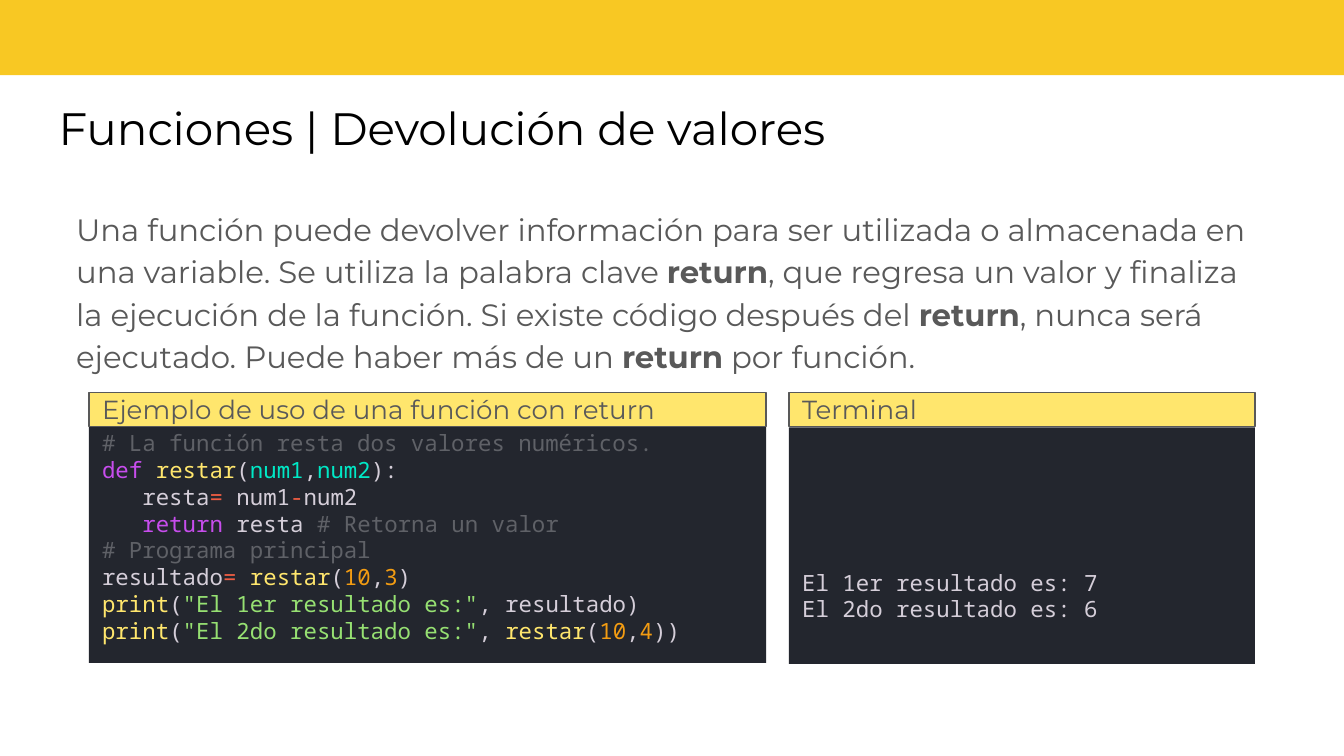
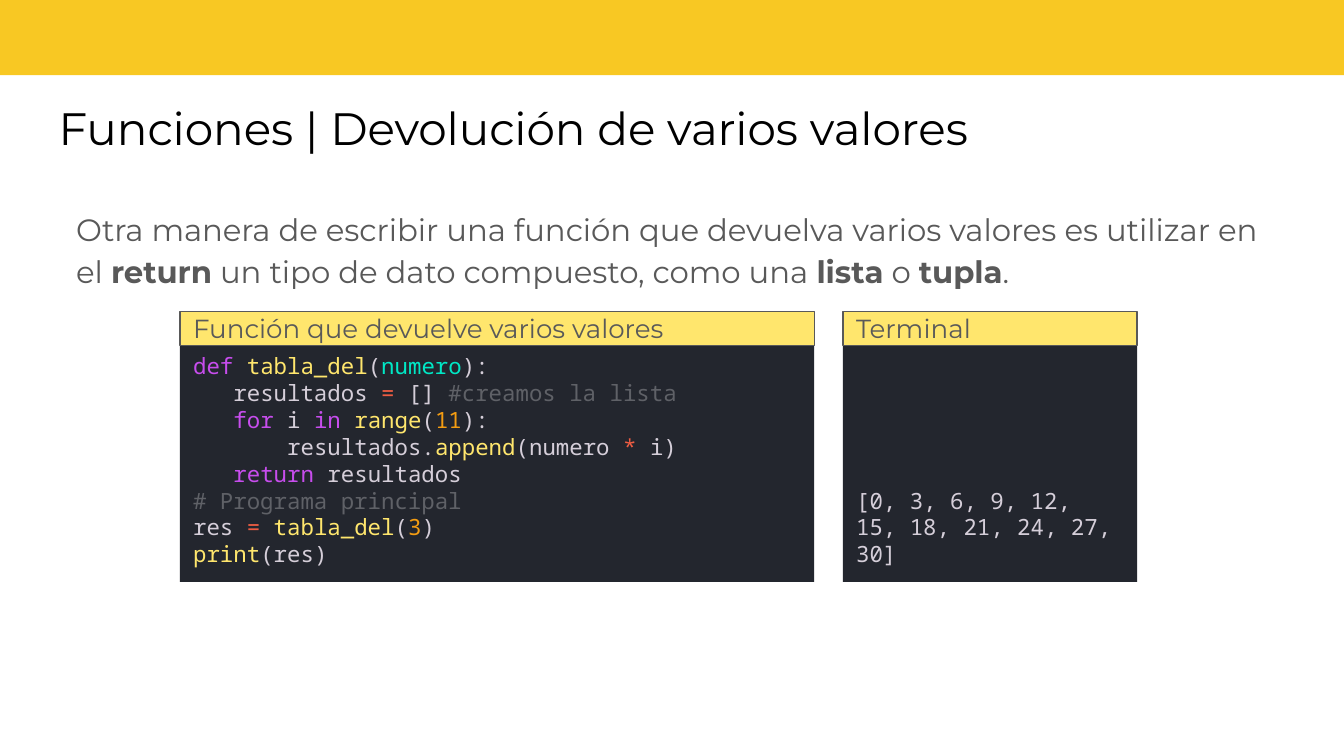
from pptx import Presentation
from pptx.dml.color import RGBColor
from pptx.enum.shapes import MSO_SHAPE
from pptx.enum.text import MSO_ANCHOR, MSO_AUTO_SIZE, PP_ALIGN
from pptx.oxml.ns import qn
from pptx.util import Cm, Pt
from lxml.etree import SubElement

THEME = {
    "colours": {
        "band": "F8C823", "header": "FFE66D", "panel": "23262E",
        "title": "000000", "body": "595959", "bold": "595959",
        "plain": "D5CED9", "comment": "5F6167", "keyword": "C74DED",
        "name": "FFE66D", "argument": "00E8C6", "operator": "EE5D43",
        "number": "F39C12", "string": "96E072",
    },
    "title": {"name": "Montserrat", "size": Pt(24.3)},
    "body": {"name": "Montserrat", "size": Pt(16.5)},
    "header": {"name": "Montserrat", "size": Pt(14)},
    "code": {"name": "Noto Sans Mono", "size": Pt(12)},
}
CHARACTER_WIDTH = 0.254  # one character of 12 pt code, in cm
HEADER_TOP_INSET = 0.13
OUTPUT_TOP_INSET = 2.67  # leaves the upper part of the terminal empty


def write_text(box, lines, style, inset, anchor=MSO_ANCHOR.TOP, spacing=1.0):
    """Fill box with lines, each an indent in characters and (role, text) spans."""
    frame = box.text_frame
    frame_format = {
        "word_wrap": True, "auto_size": MSO_AUTO_SIZE.NONE,
        "vertical_anchor": anchor, "margin_left": Cm(0.25),
        "margin_right": Cm(0.25), "margin_top": Cm(inset),
        "margin_bottom": Cm(0.13),
    }
    for key, value in frame_format.items():
        setattr(frame, key, value)
    para_format = {
        "alignment": PP_ALIGN.LEFT, "line_spacing": spacing,
        "space_before": Pt(0), "space_after": Pt(0),
    }
    for number, (indent, spans) in enumerate(lines):
        para = frame.add_paragraph() if number else frame.paragraphs[0]
        for key, value in para_format.items():
            setattr(para, key, value)
        properties = para._p.get_or_add_pPr()
        properties.set("marL", str(Cm(indent * CHARACTER_WIDTH)))
        properties.set("indent", "0")
        SubElement(properties, qn("a:buNone"))
        for role, text in spans:
            span = para.add_run()
            span.text = text
            for key, value in {**THEME[style], "bold": role == "bold"}.items():
                setattr(span.font, key, value)
            span.font.color.rgb = RGBColor.from_string(THEME["colours"][role])


def add_rectangle(page, place, colour, outline=None):
    box = page.shapes.add_shape(MSO_SHAPE.RECTANGLE, *map(Cm, place))
    box.shadow.inherit = False
    box.fill.solid()
    box.fill.fore_color.rgb = RGBColor.from_string(THEME["colours"][colour])
    if outline:
        box.line.color.rgb = RGBColor.from_string(THEME["colours"][outline])
        box.line.width = Pt(0.75)
    else:
        box.line.fill.background()
    return box


subtract_code = [
    (0, [("comment", "# La función resta dos valores numéricos.")]),
    (0, [("keyword", "def"), ("plain", " "), ("name", "restar"), ("plain", "("),
         ("argument", "num1"), ("plain", ","), ("argument", "num2"), ("plain", "):")]),
    (3, [("plain", "resta"), ("operator", "="), ("plain", " num1"),
         ("operator", "-"), ("plain", "num2")]),
    (3, [("keyword", "return"), ("plain", " resta "), ("comment", "# Retorna un valor")]),
    (0, [("comment", "# Programa principal")]),
    (0, [("plain", "resultado"), ("operator", "="), ("plain", " "), ("name", "restar"),
         ("plain", "("), ("number", "10"), ("plain", ","), ("number", "3"), ("plain", ")")]),
    (0, [("name", "print"), ("plain", "("), ("string", '"El 1er resultado es:"'),
         ("plain", ", resultado)")]),
    (0, [("name", "print"), ("plain", "("), ("string", '"El 2do resultado es:"'),
         ("plain", ", "), ("name", "restar"), ("plain", "("), ("number", "10"),
         ("plain", ","), ("number", "4"), ("plain", "))")]),
]
table_code = [
    (0, [("keyword", "def"), ("plain", " "), ("name", "tabla_del"), ("plain", "("),
         ("argument", "numero"), ("plain", "):")]),
    (3, [("plain", "resultados "), ("operator", "="), ("plain", " [] "),
         ("comment", "#creamos la lista")]),
    (3, [("keyword", "for"), ("plain", " i "), ("keyword", "in"), ("plain", " "),
         ("name", "range"), ("plain", "("), ("number", "11"), ("plain", "):")]),
    (7, [("plain", "resultados."), ("name", "append"), ("plain", "(numero "),
         ("operator", "*"), ("plain", " i)")]),
    (3, [("keyword", "return"), ("plain", " resultados")]),
    (0, [("comment", "# Programa principal")]),
    (0, [("plain", "res "), ("operator", "="), ("plain", " "), ("name", "tabla_del"),
         ("plain", "("), ("number", "3"), ("plain", ")")]),
    (0, [("name", "print"), ("plain", "(res)")]),
]

# Each panel: heading, left, width, top and height of the dark part, top inset, lines.
lessons = [
    {
        "title": "Funciones | Devolución de valores",
        "body_height": 3.51,
        "body": [
            ("body", "Una función puede devolver información para ser utilizada o "
                     "almacenada en una variable. Se utiliza la palabra clave "),
            ("bold", "return"),
            ("body", ", que regresa un valor y finaliza la ejecución de la función. "
                     "Si existe código después del "),
            ("bold", "return"),
            ("body", ", nunca será ejecutado. Puede haber más de un "),
            ("bold", "return"),
            ("body", " por función."),
        ],
        "header_top": 7.42,
        "panels": [
            ("Ejemplo de uso de una función con return",
             1.68, 12.8, 7.98, 4.55, HEADER_TOP_INSET, subtract_code),
            ("Terminal", 14.91, 8.81, 8.08, 4.47, OUTPUT_TOP_INSET,
             [(0, [("plain", "El 1er resultado es: 7")]),
              (0, [("plain", "El 2do resultado es: 6")])]),
        ],
    },
    {
        "title": "Funciones | Devolución de varios valores",
        "body_height": 2.18,
        "body": [
            ("body", "Otra manera de escribir una función que devuelva varios valores "
                     "es utilizar en el "),
            ("bold", "return"),
            ("body", " un tipo de dato compuesto, como una "),
            ("bold", "lista"),
            ("body", " o "),
            ("bold", "tupla"),
            ("body", "."),
        ],
        "header_top": 5.89,
        "panels": [
            ("Función que devuelve varios valores",
             3.4, 11.99, 6.53, 4.47, HEADER_TOP_INSET, table_code),
            ("Terminal", 15.93, 5.56, 6.53, 4.47, OUTPUT_TOP_INSET,
             [(0, [("plain", "[0, 3, 6, 9, 12, 15, 18, 21, 24, 27, 30]")])]),
        ],
    },
]

deck = Presentation()
deck.slide_width, deck.slide_height = Cm(25.4), Cm(14.29)
layout = deck.slide_layouts[1]

for lesson in lessons:
    page = deck.slides.add_slide(layout)
    if lesson is lessons[0]:
        # The band is moved to the layout, so that every slide shares it.
        band = add_rectangle(page, (0, 0, 25.4, 1.42), "band")
        layout.shapes._spTree.insert(2, band._element)

    title, body = page.placeholders
    places = [
        (title, (0.86, 1.65, 23.62, 1.6)),
        (body, (1.19, 3.63, 23.01, lesson["body_height"])),
    ]
    for box, place in places:
        for key, value in zip(("left", "top", "width", "height"), place):
            setattr(box, key, Cm(value))
    write_text(title, [(0, [("title", lesson["title"])])], "title", 0.25)
    write_text(body, [(0, lesson["body"])], "body", 0.25, spacing=1.15)

    for heading, left, width, top, height, inset, lines in lesson["panels"]:
        panel = add_rectangle(page, (left, top, width, height), "panel")
        write_text(panel, lines, "code", inset)
        header = add_rectangle(
            page, (left, lesson["header_top"], width, 0.64), "header", "body")
        write_text(header, [(0, [("body", heading)])], "header",
                   HEADER_TOP_INSET, MSO_ANCHOR.MIDDLE)

deck.save("out.pptx")
